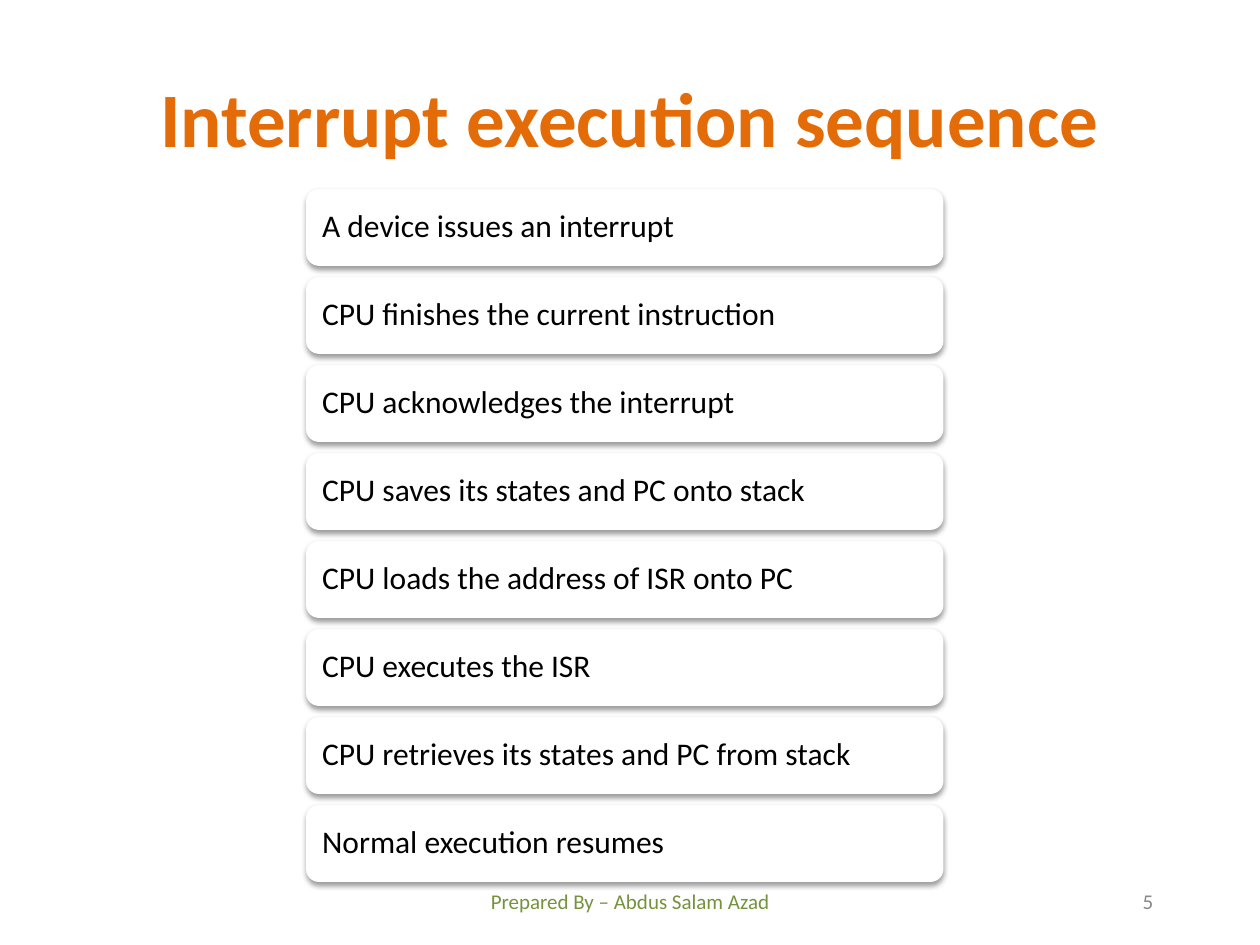
"""Build the slide listing the steps of an interrupt execution sequence."""
import pptx
import pptx.dml.color
import pptx.enum.shapes
import pptx.enum.text
import pptx.oxml
import pptx.oxml.ns
import pptx.util
from pptx.dml.color import RGBColor
from pptx.util import Cm

ORANGE = RGBColor(0xE3, 0x6C, 0x09)
GREEN = RGBColor(0x76, 0x92, 0x3C)
GRAY = RGBColor(0x88, 0x88, 0x88)
BLACK = RGBColor(0x00, 0x00, 0x00)
WHITE = RGBColor(0xFF, 0xFF, 0xFF)

ALIGN = pptx.enum.text.PP_ALIGN
STEPS = (
    "A device issues an interrupt",
    "CPU finishes the current instruction",
    "CPU acknowledges the interrupt",
    "CPU saves its states and PC onto stack",
    "CPU loads the address of ISR onto PC",
    "CPU executes the ISR",
    "CPU retrieves its states and PC from stack",
    "Normal execution resumes",
)
FIRST_TOP, LAST_TOP = 3.81, 16.23
STEP_PITCH = (LAST_TOP - FIRST_TOP) / (len(STEPS) - 1)


def write(holder, text, size, color, align, bold=False):
    frame = holder.text_frame
    frame.word_wrap = True
    frame.vertical_anchor = pptx.enum.text.MSO_ANCHOR.MIDDLE
    paragraph = frame.paragraphs[0]
    paragraph.text = text
    paragraph.alignment = align
    paragraph.font.name = "Calibri"
    paragraph.font.size = pptx.util.Pt(size)
    paragraph.font.bold = bold
    paragraph.font.color.rgb = color
    return paragraph


def add_label(slide, left, top, width, height, text, size, color, align, bold=False):
    label = slide.shapes.add_textbox(Cm(left), Cm(top), Cm(width), Cm(height))
    write(label, text, size, color, align, bold)


def add_soft_shadow(card):
    card.shadow.inherit = False
    effects = card._element.spPr.find(pptx.oxml.ns.qn("a:effectLst"))
    effects.append(pptx.oxml.parse_xml(
        f'<a:outerShdw {pptx.oxml.ns.nsdecls("a")} blurRad="40000" dist="20000" '
        'dir="5400000" rotWithShape="0"><a:srgbClr val="000000">'
        '<a:alpha val="38000"/></a:srgbClr></a:outerShdw>'))


def add_step(slide, top, text):
    card = slide.shapes.add_shape(
        pptx.enum.shapes.MSO_SHAPE.ROUNDED_RECTANGLE,
        Cm(6.17), Cm(top), Cm(12.85), Cm(1.55))
    card.fill.solid()
    card.fill.fore_color.rgb = WHITE
    card.line.fill.background()
    add_soft_shadow(card)
    write(card, text, 18, BLACK, ALIGN.LEFT).line_spacing = 0.85


def main():
    deck = pptx.Presentation()
    deck.slide_width, deck.slide_height = Cm(25.4), Cm(19.05)
    slide = deck.slides.add_slide(deck.slide_layouts[6])
    add_label(slide, 1.27, 0.76, 22.86, 3.18, "Interrupt execution sequence",
              44, ORANGE, ALIGN.CENTER, bold=True)
    for index, step in enumerate(STEPS):
        add_step(slide, FIRST_TOP + index * STEP_PITCH, step)
    add_label(slide, 8.68, 17.65, 8.05, 1.02, "Prepared By – Abdus Salam Azad",
              12, GREEN, ALIGN.CENTER)
    add_label(slide, 17.58, 17.65, 5.92, 1.02, "5", 12, GRAY, ALIGN.RIGHT)
    deck.save("out.pptx")


main()
